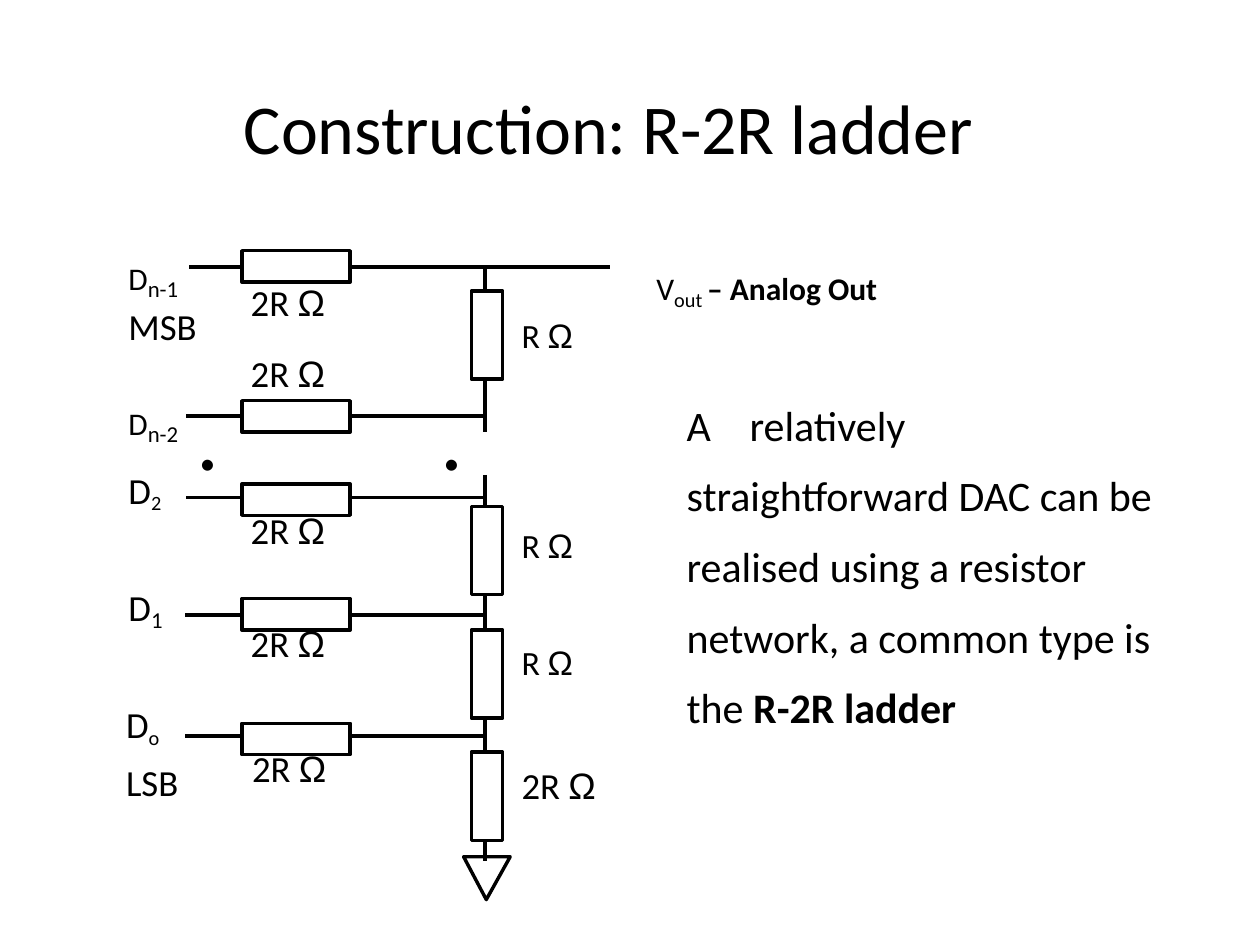
from lxml.etree import SubElement as Sub
from pptx import Presentation
from pptx.dml.color import RGBColor
from pptx.enum.shapes import MSO_CONNECTOR as Link, MSO_SHAPE as Shape
from pptx.enum.text import MSO_ANCHOR as Anchor, PP_ALIGN as Align
from pptx.oxml.ns import qn
from pptx.util import Inches, Pt

BLACK = RGBColor(0, 0, 0)
WIDE = Pt(1.96)

deck = Presentation()
deck.slide_width, deck.slide_height = Inches(10), Inches(7.5)
slide = deck.slides.add_slide(deck.slide_layouts[6])
shapes = slide.shapes


def write(x, y, w, h, *lines, left=0.01, tabs=(), **form):
    """Add a text box; each line is a list of (text, size, font values).

    The font value "base" is the baseline shift in percent.
    """
    frame = shapes.add_textbox(*map(Inches, (x, y, w, h))).text_frame
    frame.word_wrap = True
    for side in ("left", "right", "top", "bottom"):
        setattr(frame, f"margin_{side}", 0)
    for n, line in enumerate(lines):
        para = frame.add_paragraph() if n else frame.paragraphs[0]
        props = para._p.get_or_add_pPr()
        props.set("marL", str(Inches(left)))
        props.set("indent", "0")
        if tabs:
            stops = Sub(props, qn("a:tabLst"))
            for tab in tabs:
                Sub(stops, qn("a:tab"), pos=str(Inches(tab)), algn="l")
        for name, value in form.items():
            setattr(para, name, value)
        for text, size, *extra in line:
            run = para.add_run()
            run.text = text
            look = {"name": "Calibri", "size": Pt(size)}
            look.update(extra[0] if extra else {})
            base = look.pop("base", 0)
            for name, value in look.items():
                setattr(run.font, name, value)
            run.font.color.rgb = BLACK
            if base:
                run._r.get_or_add_rPr().set("baseline", str(base * 1000))
    return frame


def ink(item):
    item.line.color.rgb = BLACK
    item.line.width = WIDE


title = write(0.33, 0.42, 9, 1.17, [("Construction: R-2R ladder", 40)],
              left=0, alignment=Align.CENTER)
title.vertical_anchor = Anchor.MIDDLE

write(5.44, 3.01, 3.73, 2.92, [
    ("A\trelatively straightforward DAC can be realised using a resistor "
     "network, a common type is the ", 24),
    ("R-2R ladder", 24, {"bold": True}),
], tabs=(0, 0.36), line_spacing=1.4)

# Wires: the rungs, then the pieces of the rail
RAIL = 3.85
BOX_L, BOX_R = 1.92, 2.78
rungs = [  # wire y, wire start, wire end, resistor top
    (2.12, 1.5, 4.84, 1.99),
    (3.3, 1.48, RAIL, 3.18),
    (3.95, 1.48, RAIL, 3.84),
    (4.88, 1.47, RAIL, 4.75),
    (5.84, 1.47, RAIL, 5.74),
]
wires = []
for y, start, end, top in rungs:
    wires += [(start, y, BOX_L, y), (BOX_R, y, end, y)]
for top, bottom in [(2.12, 2.31), (3.01, 3.43), (3.77, 4.02),
                    (4.72, 5), (5.7, 5.97), (6.67, 6.83)]:
    wires.append((RAIL, top, RAIL, bottom))
for ends in wires:
    wire = shapes.add_connector(Link.STRAIGHT, *map(Inches, ends))
    ink(wire)
    Sub(wire._element.spPr, qn("a:effectLst"))

# Resistors
boxes = [(BOX_L, top, BOX_R - BOX_L, 0.25) for *_, top in rungs]
boxes += [(3.74, top, 0.25, 0.7) for top in (2.31, 4.02, 5, 5.97)]
for box in boxes:
    part = shapes.add_shape(Shape.RECTANGLE, *map(Inches, box))
    part.shadow.inherit = False
    part.fill.background()
    ink(part)

# Ground
pen = shapes.build_freeform(Inches(4.05), Inches(6.8))
pen.add_line_segments([(Inches(3.86), Inches(7.14)),
                       (Inches(3.68), Inches(6.8))], close=True)
ground = pen.convert_to_shape()
ground.shadow.inherit = False
ground.fill.background()
ink(ground)

# Resistor values
two = [(1.98, y) for y in (2.22, 2.78, 4.03, 4.93)] + [(1.99, 5.92), (4.13, 6.05)]
one = [(4.13, y) for y in (2.5, 4.16, 5.09)]
for spots, text, size, width in [(two, "2R ", 21, 0.62), (one, "R ", 19.4, 0.46)]:
    for x, y in spots:
        write(x, y, width, 0.38, [(text, size), ("Ω", size, {"name": "Arial"})])

# Inputs
HIGH = ("D", 31, {"base": 12})
top = write(0.91, 1.93, 0.9, 0.7, [HIGH, ("n-1", 13)], [("MSB", 21)], left=0.11)
top.paragraphs[1].line_spacing = Pt(22.9)
write(1.01, 3.08, 0.46, 0.35, [HIGH, ("n-2", 13)])
write(1.01, 3.71, 0.31, 0.42, [("D", 21), ("2", 20, {"base": -19})])
write(1.01, 4.64, 0.21, 0.38, [("D", 21)])
write(1.19, 4.81, 0.13, 0.25, [("1", 13)])
low = write(0.77, 5.57, 0.78, 1.04,
            [("D", 21), ("o", 20, {"base": -19})], [("LSB", 21)], left=0.23)
low.paragraphs[1].space_before = Pt(6)

# Output
write(5.2, 1.97, 2.2, 0.52, [
    ("V", 31, {"base": 3}),
    ("out ", 20, {"base": -14}),
    ("– Analog Out", 31, {"base": 3, "bold": True}),
])

# Dots for the rungs left out
for x in (1.55, 3.49):
    write(x, 3.01, 0.3, 0.93, [(".", 52)])

deck.save("out.pptx")
